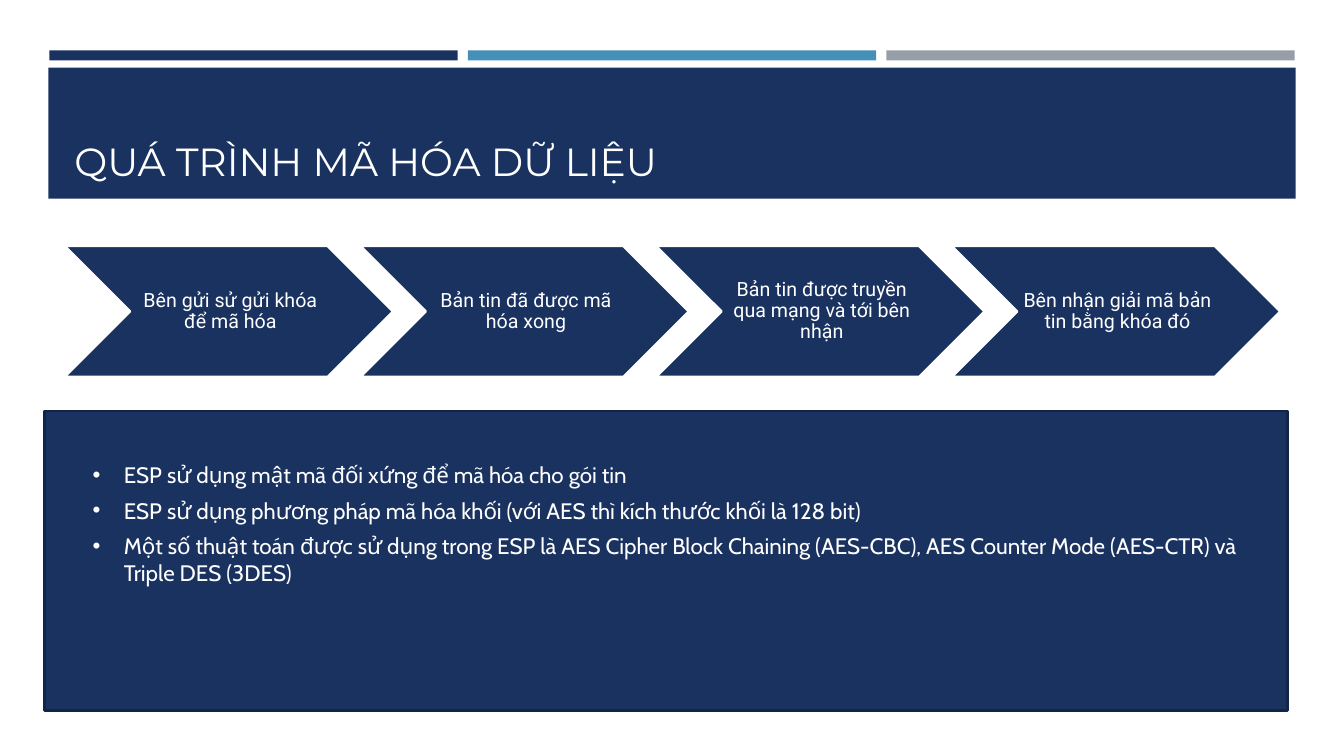
from lxml import etree
from pptx import Presentation
from pptx import util as u
from pptx.dml.color import RGBColor
from pptx.enum import shapes, text
from pptx.oxml.ns import qn

COLORS = {
    "navy": "1A3260",
    "navy_edge": "132547",
    "blue": "4590B8",
    "gray": "969FA7",
    "white": "FFFFFF",
}
TITLE = "QUÁ TRÌNH MÃ HÓA DỮ LIỆU"
STEPS = [
    "Bên gửi sử gửi khóa để mã hóa",
    "Bản tin đã được mã hóa xong",
    "Bản tin được truyền qua mạng và tới bên nhận",
    "Bên nhận giải mã bản tin bằng khóa đó",
]
NOTES = [
    "ESP sử dụng mật mã đối xứng để mã hóa cho gói tin",
    "ESP sử dụng phương pháp mã hóa khối (với AES thì kích thước khối là 128 bit)",
    "Một số thuật toán được sử dụng trong ESP là AES Cipher Block Chaining (AES-CBC), "
    "AES Counter Mode (AES-CTR) và Triple DES (3DES)",
]
BAR_LEFT, BAR_STEP, BAR_WIDTH = 0.49, 4.15, 4.05
STEP_LEFT, STEP_PITCH, STEP_WIDTH = 0.64, 2.933, 3.26
STEP_TOP, STEP_HEIGHT = 2.44, 1.3
LABEL_INSET, LABEL_WIDTH = 0.65, 1.95


def color(name):
    """Return the named palette colour."""
    return RGBColor.from_string(COLORS[name])


def add_block(slide, kind, box, fill, line=None):
    """Add a filled preset shape, outlined only when a line colour is given."""
    shape = slide.shapes.add_shape(kind, *map(u.Inches, box))
    shape.shadow.inherit = False
    shape.fill.solid()
    shape.fill.fore_color.rgb = color(fill)
    if line:
        shape.line.color.rgb = color(line)
        shape.line.width = u.Pt(1.75)
    else:
        shape.line.fill.background()
    return shape


def add_bullet(paragraph, indent):
    """Give a paragraph a round bullet with a hanging indent."""
    properties = paragraph._p.get_or_add_pPr()
    properties.set("marL", str(u.Inches(indent)))
    properties.set("indent", str(-u.Inches(indent)))
    font = etree.SubElement(properties, qn("a:buFont"))
    font.set("typeface", "Arial")
    etree.SubElement(properties, qn("a:buChar")).set("char", "•")


def add_text(slide, box, lines, *, font, size, anchor=text.MSO_ANCHOR.TOP,
             align=text.PP_ALIGN.LEFT, margins=(0.1, 0.05, 0.1, 0.05),
             spacing=None, after=0, bullet_indent=None):
    """Add a wrapped text box holding one paragraph per line."""
    frame = slide.shapes.add_textbox(*map(u.Inches, box)).text_frame
    frame.word_wrap = True
    frame.vertical_anchor = anchor
    (frame.margin_left, frame.margin_top,
     frame.margin_right, frame.margin_bottom) = map(u.Inches, margins)
    frame.text = "\n".join(lines)
    for paragraph in frame.paragraphs:
        paragraph.alignment = align
        paragraph.line_spacing = spacing
        paragraph.space_after = u.Pt(after)
        if bullet_indent:
            add_bullet(paragraph, bullet_indent)
        run_font = paragraph.runs[0].font
        run_font.name = font
        run_font.size = u.Pt(size)
        run_font.color.rgb = color("white")


def add_header(slide):
    """Add the three accent bars and the title band."""
    for column, fill in enumerate(("navy", "blue", "gray")):
        box = (BAR_LEFT + column * BAR_STEP, 0.5, BAR_WIDTH, 0.1)
        add_block(slide, shapes.MSO_SHAPE.RECTANGLE, box, fill)
    add_block(slide, shapes.MSO_SHAPE.RECTANGLE, (0.48, 0.67, 12.37, 1.3), "navy")
    add_text(slide, (0.64, 0.77, 12.06, 1.11), [TITLE], font="Montserrat", size=28,
             anchor=text.MSO_ANCHOR.BOTTOM)


def add_step(slide, column, label):
    """Add one chevron of the process with its label."""
    left = STEP_LEFT + column * STEP_PITCH
    add_block(slide, shapes.MSO_SHAPE.CHEVRON,
              (left, STEP_TOP, STEP_WIDTH, STEP_HEIGHT), "navy", line="white")
    add_text(slide, (left + LABEL_INSET, STEP_TOP, LABEL_WIDTH, STEP_HEIGHT), [label],
             font="Roboto", size=14, anchor=text.MSO_ANCHOR.MIDDLE,
             align=text.PP_ALIGN.CENTER, margins=(0.06, 0.02, 0.02, 0.02), spacing=0.9)


def add_notes_panel(slide):
    """Add the lower panel with its bullet list."""
    add_block(slide, shapes.MSO_SHAPE.RECTANGLE, (0.44, 4.08, 12.33, 2.97), "navy",
              line="navy_edge")
    add_text(slide, (0.82, 4.53, 11.58, 1.35), NOTES, font="Cabin", size=16,
             after=6, bullet_indent=0.31)


def main():
    """Build and save the slide."""
    presentation = Presentation()
    presentation.slide_width = u.Inches(13.33)
    presentation.slide_height = u.Inches(7.5)
    slide = presentation.slides.add_slide(presentation.slide_layouts[6])
    add_header(slide)
    for column, label in enumerate(STEPS):
        add_step(slide, column, label)
    add_notes_panel(slide)
    presentation.save("out.pptx")


if __name__ == "__main__":
    main()
